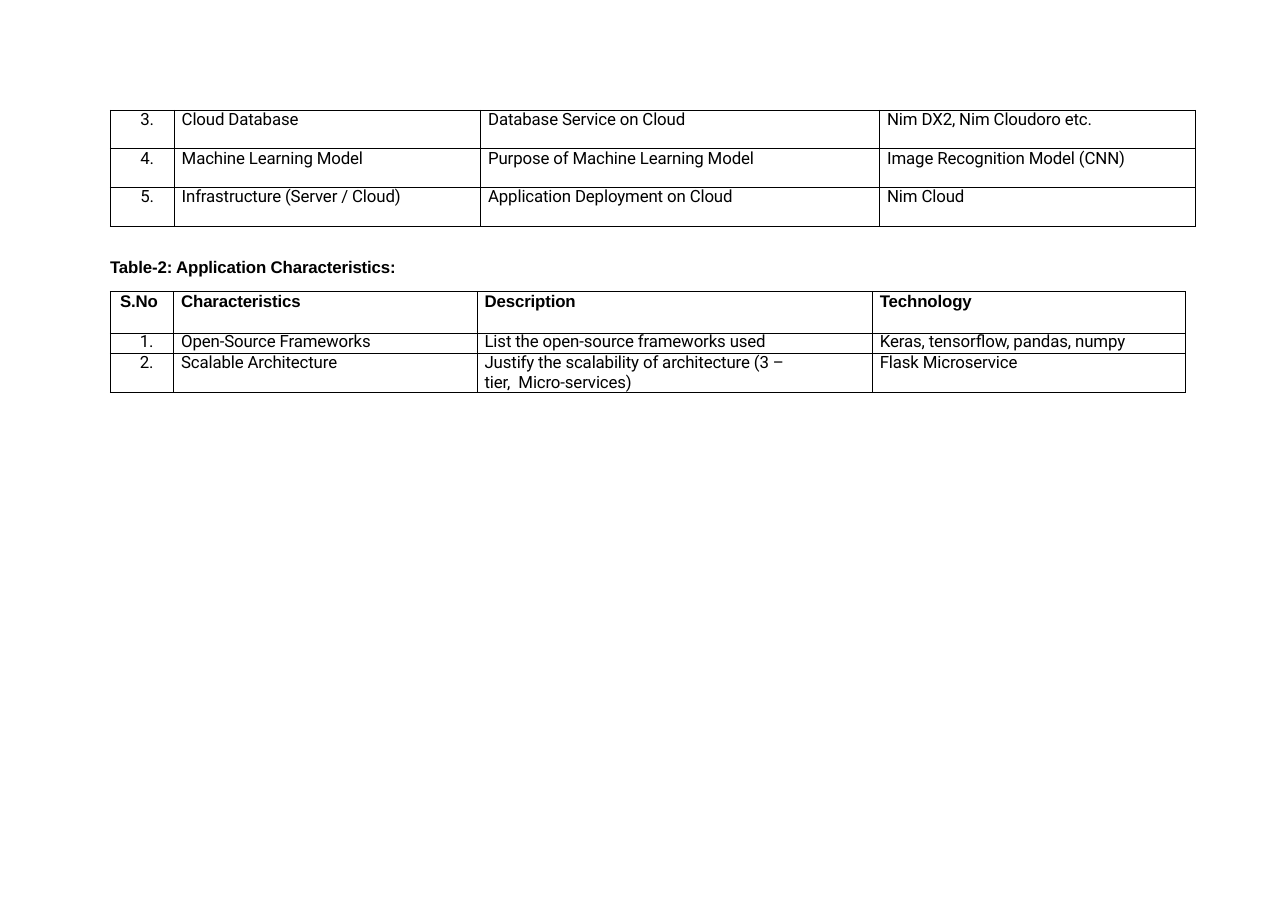
import pptx
import pptx.dml.color
import pptx.enum.text
import pptx.oxml
import pptx.oxml.ns
import pptx.util

COLORS = {"ink": "000000", "paper": "FFFFFF"}
WIDTH, HEIGHT = 11.69, 8.27
COLUMN_SHARES = (0.06, 0.28, 0.37, 0.29)
COLUMN_WEIGHTS = (0.58, 2.78, 3.62, 2.87)
INDENT = 0.07
NUMBER_MARGIN = 0.18
SIZE = 11
HEADING = "Table-2: Application Characteristics:"

COMPONENTS = [
    ("3.", "Cloud Database", "Database Service on Cloud", "Nim DX2, Nim Cloudoro etc."),
    ("4.", "Machine Learning Model", "Purpose of Machine Learning Model",
     "Image Recognition Model (CNN)"),
    ("5.", "Infrastructure (Server / Cloud)", "Application Deployment on Cloud", "Nim Cloud"),
]
CHARACTERISTICS = [
    ("S.No", "Characteristics", "Description", "Technology"),
    ("1.", "Open-Source Frameworks", "List the open-source frameworks used",
     "Keras, tensorflow, pandas, numpy"),
    ("2.", "Scalable Architecture",
     "Justify the scalability of architecture (3 \u2013 tier,  Micro-services)",
     "Flask Microservice"),
]


def color(name):
    """Return the named colour."""
    return pptx.dml.color.RGBColor.from_string(COLORS[name])


def write(para, text, bold=False):
    """Add one run of slightly condensed text to a paragraph."""
    span = para.add_run()
    span.text = text
    span.font.size = pptx.util.Pt(SIZE)
    span.font.name = "Arial" if bold else "Roboto"
    span.font.bold = bold
    span.font.color.rgb = color("ink")
    span.font._element.set("spc", "-10")


def rule_cell(cell):
    """Draw thin lines on the four sides of a cell."""
    properties = cell._tc.get_or_add_tcPr()
    for place, side in enumerate(("lnL", "lnR", "lnT", "lnB")):
        line = pptx.oxml.parse_xml(
            f'<a:{side} {pptx.oxml.ns.nsdecls("a")} w="{pptx.util.Pt(0.5)}">'
            f'<a:solidFill><a:srgbClr val="{COLORS["ink"]}"/></a:solidFill></a:{side}>')
        properties.insert(place, line)


def fill_cell(cell, text, leading, is_number, bold, right):
    """Format one cell and write its text."""
    cell.fill.background()
    rule_cell(cell)
    cell.margin_top = cell.margin_bottom = 0
    cell.margin_left = pptx.util.Inches(0 if is_number else INDENT)
    cell.margin_right = pptx.util.Inches(right)
    cell.vertical_anchor = pptx.enum.text.MSO_ANCHOR.TOP
    para = cell.text_frame.paragraphs[0]
    align = pptx.enum.text.PP_ALIGN
    para.alignment = align.RIGHT if is_number else align.LEFT
    para.line_spacing = pptx.util.Pt(leading)
    write(para, text, bold)


def add_grid(page, box, rows, heights, leadings, header=False, wrap_margin=0):
    """Build a ruled table whose columns share the width of its box."""
    left, top, width = box
    frame = page.shapes.add_table(
        len(rows), len(COLUMN_WEIGHTS),
        *(pptx.util.Inches(length) for length in (left, top, width, sum(heights))))
    table = frame.table
    table.first_row = table.horz_banding = False
    for column, weight in zip(table.columns, COLUMN_WEIGHTS):
        column.width = pptx.util.Inches(width * weight / sum(COLUMN_WEIGHTS))
    for row_index, (texts, height, leading) in enumerate(zip(rows, heights, leadings)):
        table.rows[row_index].height = pptx.util.Inches(height)
        bold = header and row_index == 0
        rights = (0.14 if bold else NUMBER_MARGIN, 0, wrap_margin, 0)
        for column_index, text in enumerate(texts):
            fill_cell(table.cell(row_index, column_index), text, leading,
                      column_index == 0, bold, rights[column_index])


def add_heading(page, box):
    """Place the table heading in the title placeholder."""
    title = page.shapes.title
    title.left, title.top, title.width, title.height = map(pptx.util.Inches, box)
    frame = title.text_frame
    frame.margin_left = frame.margin_right = frame.margin_bottom = 0
    frame.margin_top = pptx.util.Inches(0.01)
    frame.vertical_anchor = pptx.enum.text.MSO_ANCHOR.TOP
    frame.auto_size = pptx.enum.text.MSO_AUTO_SIZE.NONE
    frame.word_wrap = False
    para = frame.paragraphs[0]
    para.alignment = pptx.enum.text.PP_ALIGN.LEFT
    para.line_spacing = 1.0
    para.space_before = pptx.util.Pt(1)
    write(para, HEADING, True)


def build_page(deck):
    """Lay out the two tables and the heading between them."""
    page = deck.slides.add_slide(deck.slide_layouts[5])
    page.background.fill.solid()
    page.background.fill.fore_color.rgb = color("paper")
    margin = WIDTH * 0.0855
    add_grid(page, (margin, HEIGHT * 0.121, WIDTH * 0.843), COMPONENTS,
             [0.35] * 3, [12.7] * 3)
    add_heading(page, (margin, HEIGHT * 0.2805, WIDTH * 0.23, HEIGHT * 0.025))
    add_grid(page, (margin, HEIGHT * 0.32, WIDTH * 0.835), CHARACTERISTICS,
             [0.38, 0.18, 0.36], [12.5, 12.1, 12.7], header=True, wrap_margin=0.6)


deck = pptx.Presentation()
deck.slide_width = pptx.util.Inches(WIDTH)
deck.slide_height = pptx.util.Inches(HEIGHT)
build_page(deck)
deck.save("out.pptx")
